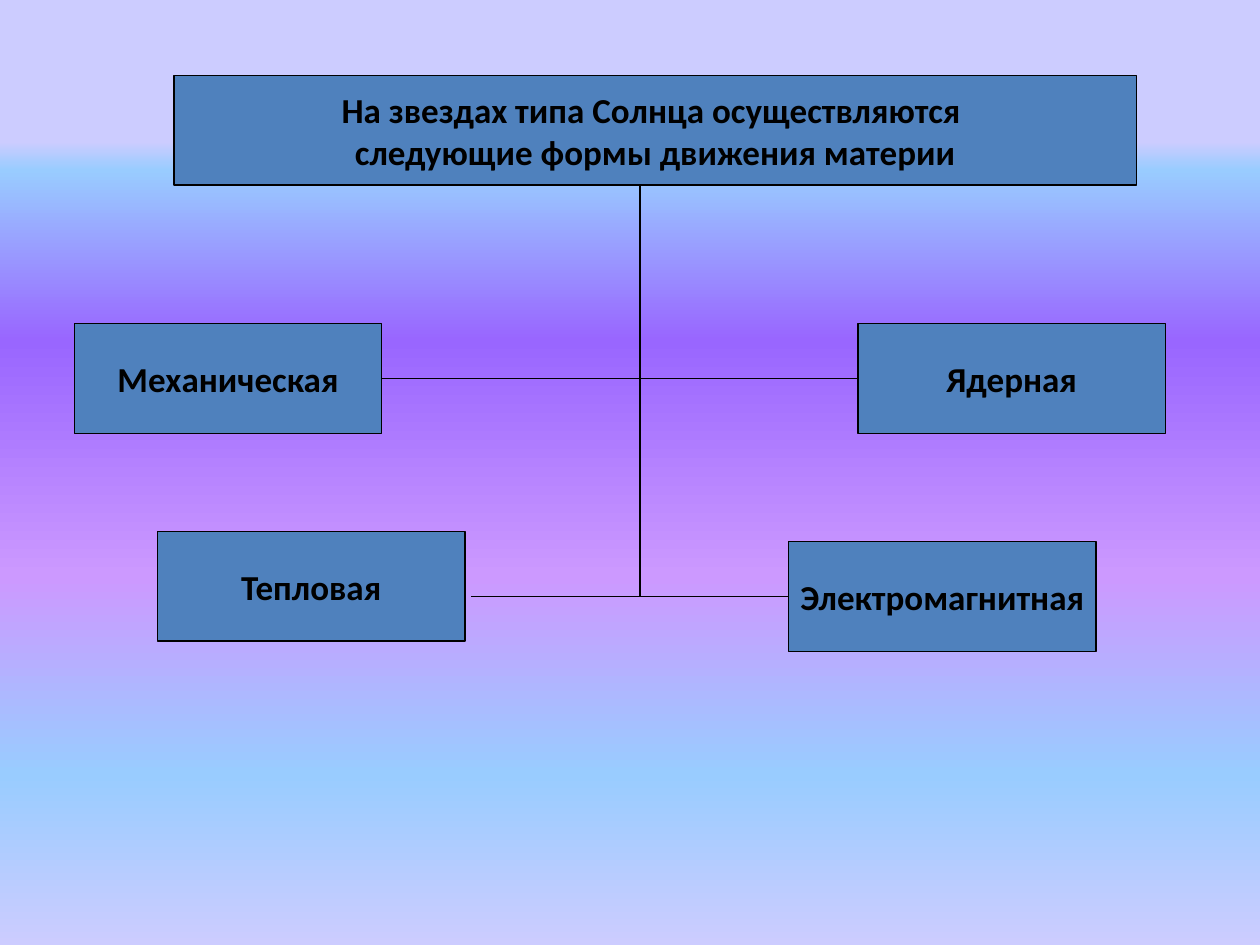
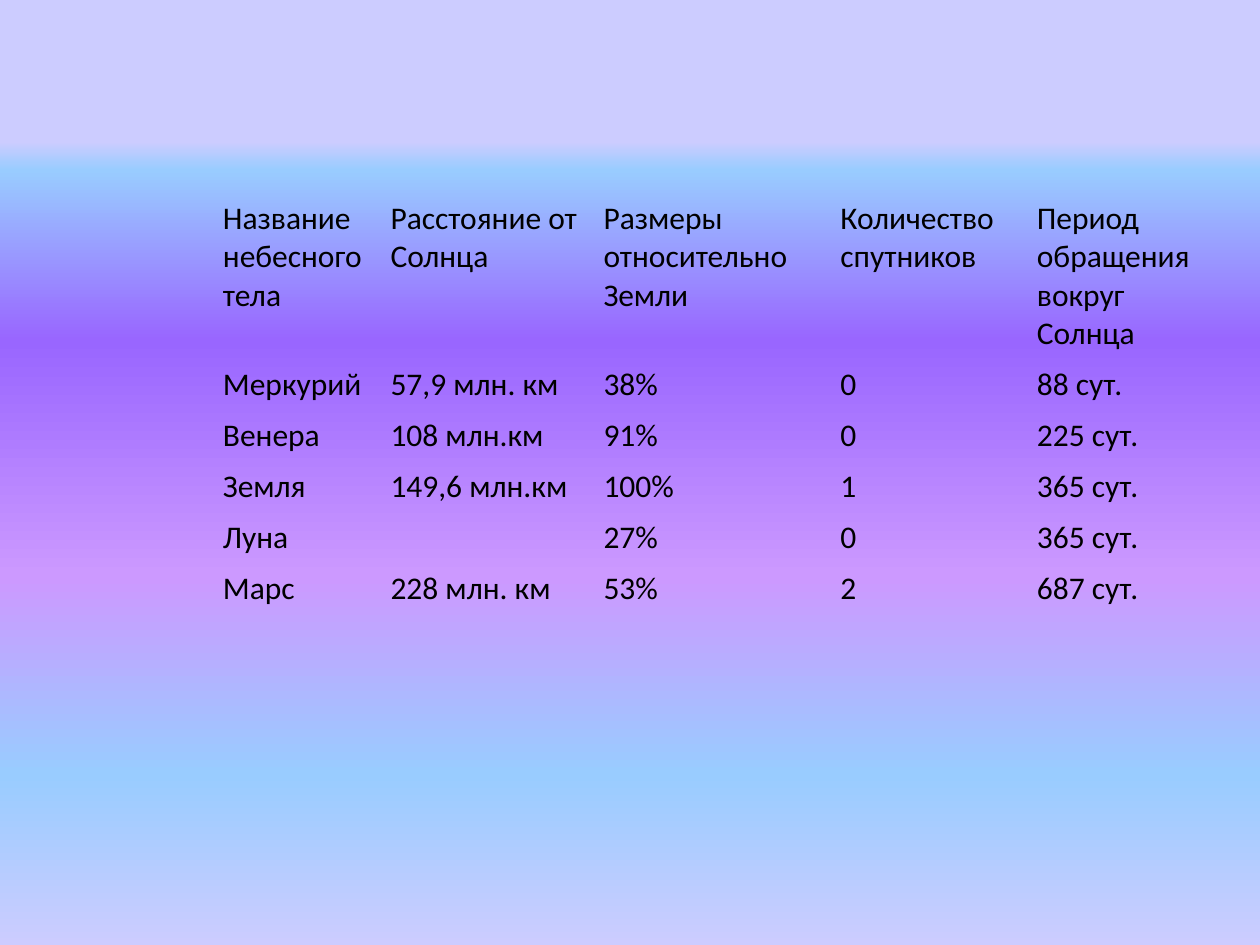
from lxml import etree
from pptx import Presentation
from pptx.dml.color import RGBColor
from pptx.enum.shapes import MSO_CONNECTOR, MSO_SHAPE
from pptx.enum.text import MSO_ANCHOR, MSO_AUTO_SIZE, PP_ALIGN
from pptx.oxml.ns import qn
from pptx.util import Pt

FONT = "Calibri"
BLACK = "000000"
BOX_FILL = "4F81BD"
SKY_STOPS = [  # position %, colour, opacity %
    (15, "CCCCFF", 84), (18, "99CCFF", 100), (36, "9966FF", 100),
    (61, "CC99FF", 100), (82, "99CCFF", 100), (100, "CCCCFF", 100),
]
NO_GRID_STYLE = "{2D5ABB26-0587-4C30-8999-92F81FD0307C}"
TITLE_ONLY, BLANK = 5, 6
LEFT_SIDE, RIGHT_SIDE = 1, 3

HEADING = ["На звездах типа Солнца осуществляются ",
           "следующие формы движения материи"]
FORM_WIDTH, FORM_HEIGHT = 175.7, 62.6
UPPER_TOP, LOWER_TOP = 185, 309.6
TRUNK_X = 365.8

COLUMN_WIDTHS = [95.8, 121.7, 135.4, 112.3, 106.6]
ROW_HEIGHT = 29.2
PLANETS = [
    ["Название небесного тела", "Расстояние от Солнца",
     "Размеры относительно Земли", "Количество спутников",
     "Период обращения вокруг Солнца"],
    ["Меркурий", "57,9 млн. км", "38%", "0", "88 сут."],
    ["Венера", "108 млн.км", "91%", "0", "225 сут."],
    ["Земля", "149,6 млн.км", "100%", "1", "365 сут."],
    ["Луна", "", "27%", "0", "365 сут."],
    ["Марс", "228 млн. км", "53%", "2", "687 сут."],
]


def rgb(hex_colour):
    return RGBColor.from_string(hex_colour)


def paint_sky(master):
    """Give every slide the shared vertical gradient."""
    fill = master.background.fill
    fill.gradient()
    fill.gradient_angle = 270
    stops = master.element.find(f".//{qn('p:bg')}//{qn('a:gsLst')}")
    for old_stop in list(stops):
        stops.remove(old_stop)
    for position, colour, opacity in SKY_STOPS:
        stop = etree.SubElement(stops, qn("a:gs"), pos=str(position * 1000))
        tint = etree.SubElement(stop, qn("a:srgbClr"), val=colour)
        if opacity < 100:
            etree.SubElement(tint, qn("a:alpha"), val=str(opacity * 1000))


def add_text(paragraph, text, size, bold=False):
    run = paragraph.add_run()
    run.text = text
    run.font.name = FONT
    run.font.size = Pt(size)
    run.font.bold = bold
    run.font.color.rgb = rgb(BLACK)


def outline(line):
    line.color.rgb = rgb(BLACK)
    line.width = Pt(0.75)


def style_box(box, lines):
    box.fill.solid()
    box.fill.fore_color.rgb = rgb(BOX_FILL)
    outline(box.line)
    frame = box.text_frame
    frame.word_wrap = False
    frame.auto_size = MSO_AUTO_SIZE.NONE
    frame.vertical_anchor = MSO_ANCHOR.MIDDLE
    for index, text in enumerate(lines):
        paragraph = frame.add_paragraph() if index else frame.paragraphs[0]
        paragraph.alignment = PP_ALIGN.CENTER
        add_text(paragraph, text, 20, bold=True)


def add_heading(slide):
    heading = slide.shapes.title
    heading.left, heading.top = Pt(99.4), Pt(43.2)
    heading.width, heading.height = Pt(550), Pt(FORM_HEIGHT)
    style_box(heading, HEADING)
    return heading


def add_form(slide, name, left, top):
    form = slide.shapes.add_shape(MSO_SHAPE.RECTANGLE, Pt(left), Pt(top),
                                  Pt(FORM_WIDTH), Pt(FORM_HEIGHT))
    form.shadow.inherit = False
    style_box(form, [name])
    return form


def add_branch(slide, start, end):
    branch = slide.shapes.add_connector(MSO_CONNECTOR.STRAIGHT, *start, *end)
    outline(branch.line)
    etree.SubElement(branch.element.spPr, qn("a:effectLst"))
    return branch


def build_motion_forms(slide):
    heading = add_heading(slide)
    mechanical = add_form(slide, "Механическая", 42.5, UPPER_TOP)
    electromagnetic = add_form(slide, "Электромагнитная", 450.7, LOWER_TOP)
    nuclear = add_form(slide, "Ядерная", 490.3, UPPER_TOP)
    add_form(slide, "Тепловая", 90, 303.8)

    upper_y = Pt(UPPER_TOP + FORM_HEIGHT / 2)
    lower_y = Pt(LOWER_TOP + FORM_HEIGHT / 2)
    add_branch(slide, (Pt(TRUNK_X), heading.top + heading.height),
               (Pt(TRUNK_X), lower_y))
    upper = add_branch(slide, (mechanical.left + mechanical.width, upper_y),
                       (nuclear.left, upper_y))
    upper.begin_connect(mechanical, RIGHT_SIDE)
    upper.end_connect(nuclear, LEFT_SIDE)
    lower = add_branch(slide, (Pt(269.3), lower_y),
                       (electromagnetic.left, lower_y))
    lower.end_connect(electromagnetic, LEFT_SIDE)


def build_planet_table(slide):
    frame = slide.shapes.add_table(
        len(PLANETS), len(COLUMN_WIDTHS), Pt(120.2), Pt(110.2),
        Pt(sum(COLUMN_WIDTHS)), Pt(ROW_HEIGHT * len(PLANETS)))
    table = frame.table
    table.first_row = table.horz_banding = False
    frame.element.find(f".//{qn('a:tableStyleId')}").text = NO_GRID_STYLE
    for column, width in zip(table.columns, COLUMN_WIDTHS):
        column.width = Pt(width)
    for row, values in zip(table.rows, PLANETS):
        row.height = Pt(ROW_HEIGHT)
        for cell, value in zip(row.cells, values):
            cell.fill.background()
            if value:
                add_text(cell.text_frame.paragraphs[0], value, 18)
    frame.height = Pt(239.8)  # the header row grows to four lines


def main():
    prs = Presentation()
    prs.slide_width, prs.slide_height = Pt(720), Pt(540)
    paint_sky(prs.slide_master)
    build_motion_forms(prs.slides.add_slide(prs.slide_layouts[TITLE_ONLY]))
    build_planet_table(prs.slides.add_slide(prs.slide_layouts[BLANK]))
    prs.save("out.pptx")


if __name__ == "__main__":
    main()
